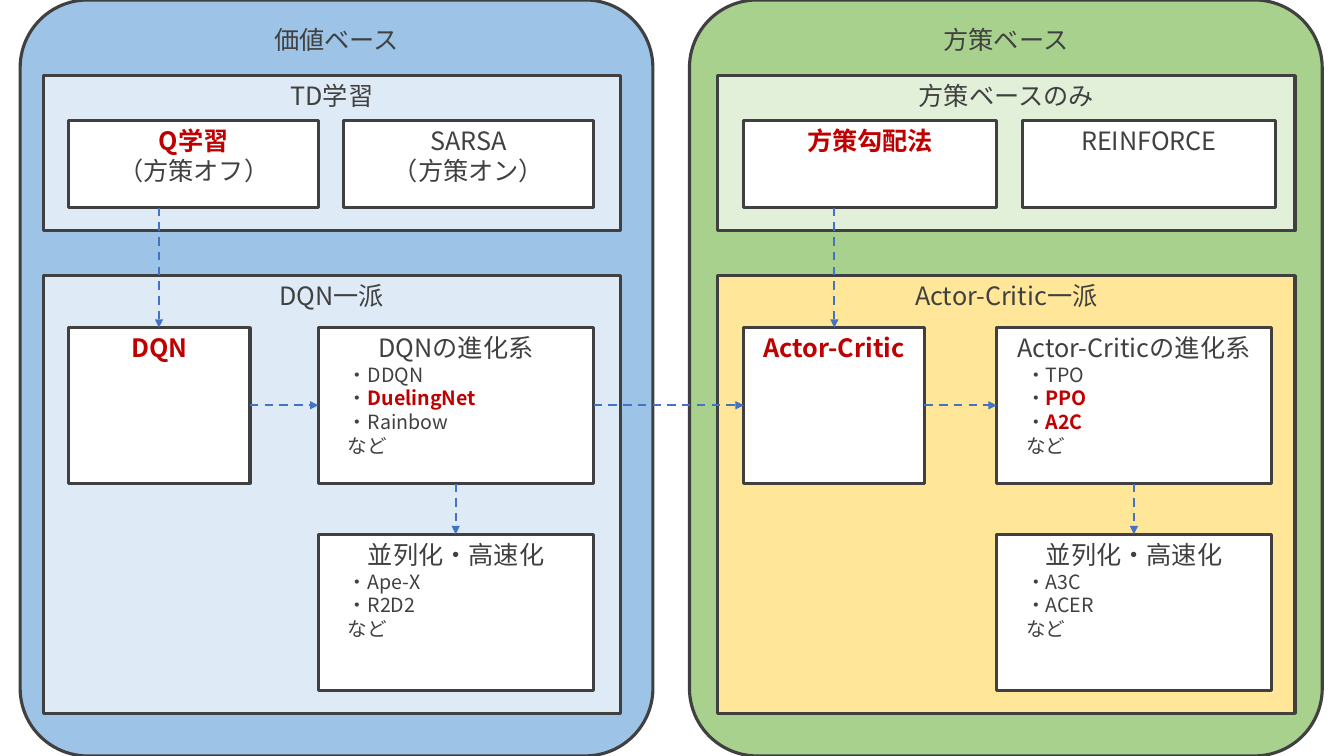
"""Build a slide mapping value-based and policy-based reinforcement learning methods."""
import pptx
import pptx.dml.color
import pptx.enum.dml
import pptx.enum.shapes
import pptx.enum.text
import pptx.oxml
import pptx.oxml.ns
import pptx.util

Pt = pptx.util.Pt
RGBColor = pptx.dml.color.RGBColor
MSO_SHAPE = pptx.enum.shapes.MSO_SHAPE
PP_ALIGN = pptx.enum.text.PP_ALIGN
qn = pptx.oxml.ns.qn

FONT = "Noto Sans CJK JP"
INK = RGBColor(0x40, 0x40, 0x40)
KEY_RED = RGBColor(0xC0, 0x00, 0x00)
ARROW_BLUE = RGBColor(0x44, 0x72, 0xC4)
WHITE = RGBColor(0xFF, 0xFF, 0xFF)
VALUE_BLUE = RGBColor(0x9D, 0xC3, 0xE6)
PALE_BLUE = RGBColor(0xDE, 0xEB, 0xF7)
POLICY_GREEN = RGBColor(0xA9, 0xD1, 0x8E)
PALE_GREEN = RGBColor(0xE2, 0xF0, 0xD9)
ACTOR_YELLOW = RGBColor(0xFF, 0xE6, 0x99)

KEY_TERMS = {"Q学習", "DQN", "DuelingNet", "方策勾配法", "Actor-Critic", "PPO", "A2C"}
CLOSING = "など"


def write_line(frame, text, size=18, align=PP_ALIGN.CENTER, indent=0, marker=""):
    line = frame.paragraphs[0]
    if line.runs:
        line = frame.add_paragraph()
    line.alignment = align
    if indent:
        line._p.get_or_add_pPr().set("marL", str(Pt(indent)))
    parts = [marker, text] if marker and text in KEY_TERMS else [marker + text]
    for part in parts:
        run = line.add_run()
        run.text = part
        run.font.size = Pt(size)
        run.font.name = FONT
        run.font.bold = part in KEY_TERMS
        run.font.color.rgb = KEY_RED if part in KEY_TERMS else INK
        latin = run.font._element.get_or_add_latin()
        latin.addnext(latin.makeelement(qn("a:ea"), {"typeface": FONT}))


deck = pptx.Presentation()
deck.slide_width, deck.slide_height = Pt(960), Pt(540)
slide = deck.slides.add_slide(deck.slide_layouts[6])

FAMILY, METHOD, LIST = (54, 110.7), (86.1, 62.2), (234, 111.2)
DEEP_FAMILY, PARALLEL = (196.9, 312.7), (381.6, 111.4)
PANEL_WIDTH, LIST_WIDTH = 412.5, 196.5

blocks = [
    (14.4, 452, (0, 540), VALUE_BLUE, ["価値ベース"], []),
    (30.8, PANEL_WIDTH, FAMILY, PALE_BLUE, ["TD学習"], []),
    (49, 178.6, METHOD, WHITE, ["Q学習", "（方策オフ）"], []),
    (245.4, 178.6, METHOD, WHITE, ["SARSA", "（方策オン）"], []),
    (30.8, PANEL_WIDTH, DEEP_FAMILY, PALE_BLUE, ["DQN一派"], []),
    (49, 129.6, LIST, WHITE, ["DQN"], []),
    (227.5, LIST_WIDTH, LIST, WHITE, ["DQNの進化系"], ["DDQN", "DuelingNet", "Rainbow"]),
    (227.5, LIST_WIDTH, PARALLEL, WHITE, ["並列化・高速化"], ["Ape-X", "R2D2"]),
    (492.5, 452, (0, 540), POLICY_GREEN, ["方策ベース"], []),
    (512.6, PANEL_WIDTH, FAMILY, PALE_GREEN, ["方策ベースのみ"], []),
    (531.2, 180.7, METHOD, WHITE, ["方策勾配法"], []),
    (730.3, 180.7, METHOD, WHITE, ["REINFORCE"], []),
    (512.6, PANEL_WIDTH, DEEP_FAMILY, ACTOR_YELLOW, ["Actor-Critic一派"], []),
    (531.2, 129, LIST, WHITE, ["Actor-Critic"], []),
    (711.8, LIST_WIDTH, LIST, WHITE, ["Actor-Criticの進化系"], ["TPO", "PPO", "A2C"]),
    (711.8, LIST_WIDTH, PARALLEL, WHITE, ["並列化・高速化"], ["A3C", "ACER"]),
]
for left, width, (top, height), fill, headings, methods in blocks:
    is_base = height == 540
    kind = MSO_SHAPE.ROUNDED_RECTANGLE if is_base else MSO_SHAPE.RECTANGLE
    block = slide.shapes.add_shape(kind, Pt(left), Pt(top), Pt(width), Pt(height))
    if is_base:
        block.adjustments[0] = 0.107
    block.shadow.inherit = False
    block.fill.solid()
    block.fill.fore_color.rgb = fill
    block.line.color.rgb = INK
    block.line.width = Pt(2.25)
    block.text_frame.word_wrap = True
    block.text_frame.vertical_anchor = pptx.enum.text.MSO_ANCHOR.TOP
    for heading in headings:
        write_line(block.text_frame, heading)
    for method in methods:
        write_line(block.text_frame, method, size=14, align=PP_ALIGN.LEFT, indent=14, marker="・")
    if methods:
        write_line(block.text_frame, CLOSING, size=14, align=PP_ALIGN.LEFT, indent=14)

FLOW_Y = 289.5
flows = [
    (178.6, FLOW_Y, 227.5, FLOW_Y),
    (424.1, FLOW_Y, 531.3, FLOW_Y),
    (660.3, FLOW_Y, 712, FLOW_Y),
]
for method_x, list_x in ((113.6, 325.5), (596, 810)):
    flows += [(method_x, 148.4, method_x, 234), (list_x, 345.4, list_x, 381.6)]
for start_x, start_y, end_x, end_y in flows:
    arrow = slide.shapes.add_connector(pptx.enum.shapes.MSO_CONNECTOR.STRAIGHT,
                                       Pt(start_x), Pt(start_y), Pt(end_x), Pt(end_y))
    arrow.line.color.rgb = ARROW_BLUE
    arrow.line.width = Pt(1.5)
    arrow.line.dash_style = pptx.enum.dml.MSO_LINE.DASH
    outline = arrow.line._get_or_add_ln()
    outline.append(outline.makeelement(qn("a:tailEnd"), {"type": "triangle"}))
    outline.addnext(outline.makeelement(qn("a:effectLst"), {}))

deck.save("out.pptx")
